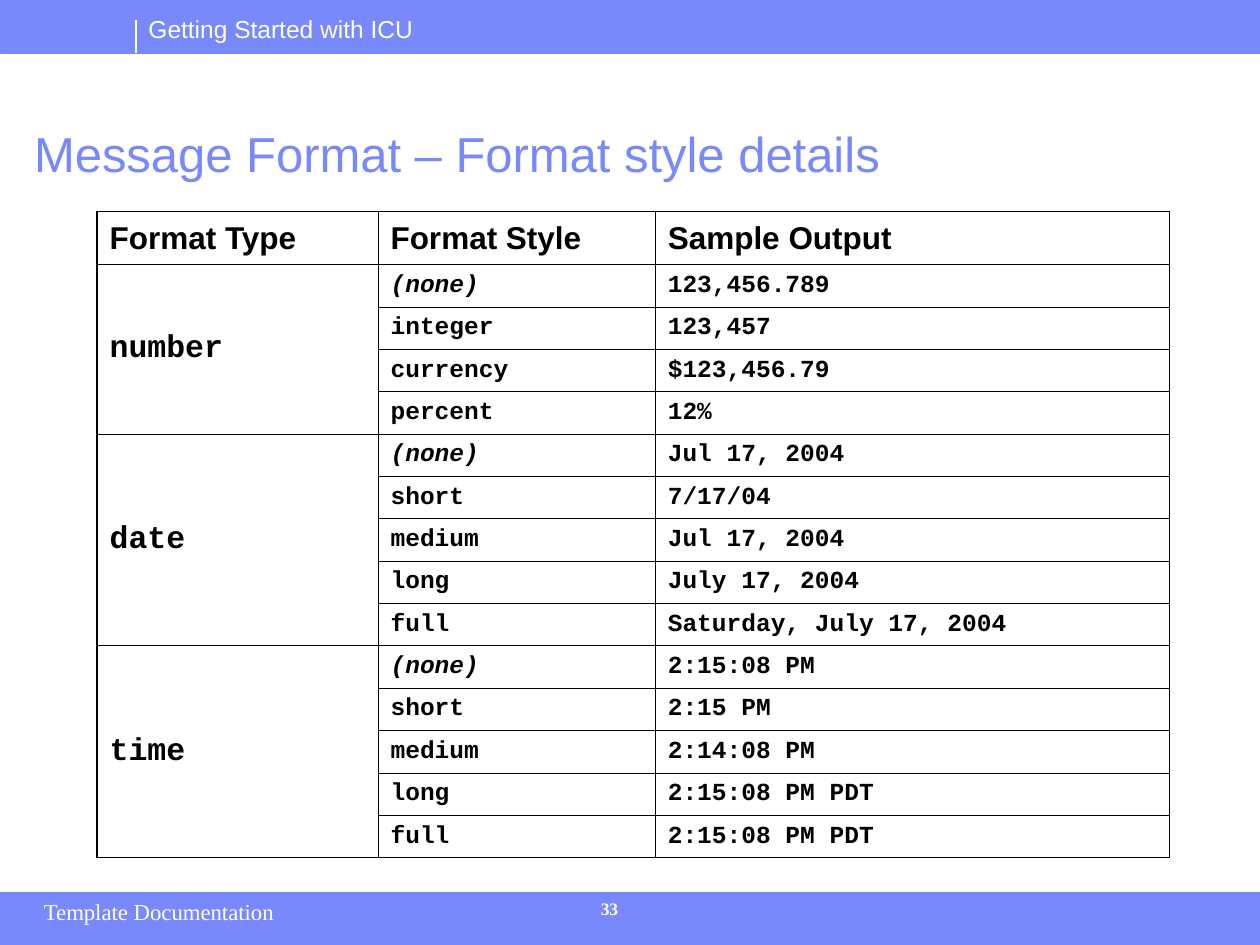
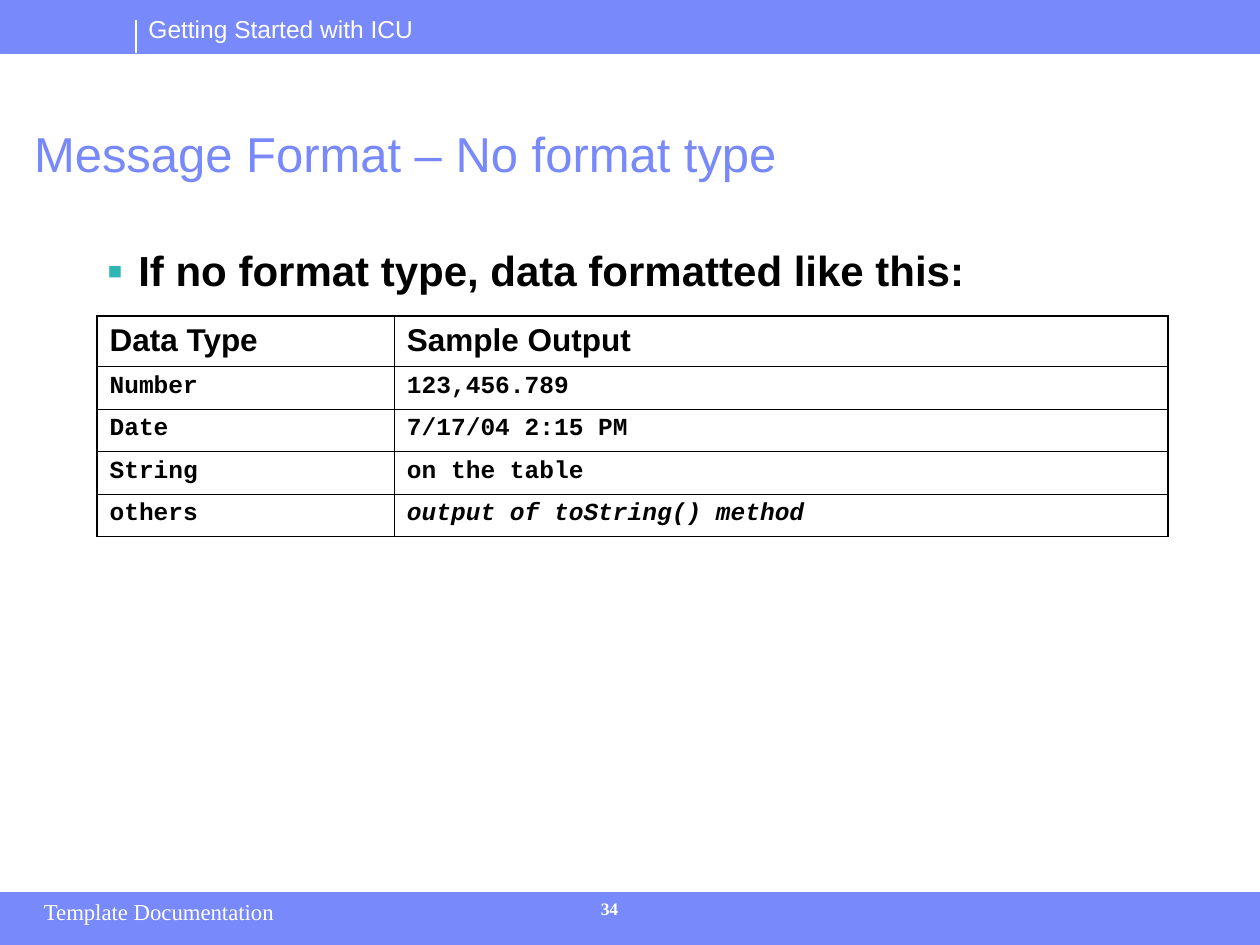
from lxml import etree
from pptx import Presentation
from pptx.dml.color import RGBColor
from pptx.enum.shapes import MSO_CONNECTOR, MSO_SHAPE
from pptx.enum.text import MSO_ANCHOR as Anchor, MSO_AUTO_SIZE as AutoSize, PP_ALIGN as Align
from pptx.oxml import parse_xml
from pptx.oxml.ns import nsdecls, qn
from pptx.util import Inches, Pt

PERIWINKLE, TEAL, BLACK, WHITE = "7889FB", "2DB6B3", "000000", "FFFFFF"
SANS, MONO, SERIF = "Arial", "Courier New", "Times New Roman"
OUTER, INNER = 0.96, 0.45
ITALIC_TEXTS = {"(none)", "output of toString() method"}
rgb = RGBColor.from_string


def add_run(paragraph, text, size, font, color, bold=False, italic=False):
    run = paragraph.add_run()
    run.text = text
    run.font.size, run.font.name = Pt(size), font
    run.font.bold, run.font.italic = bold, italic
    run.font.color.rgb = rgb(color)


def add_label(slide, left, top, width, height, wrap=True):
    frame = slide.shapes.add_textbox(*map(Inches, (left, top, width, height))).text_frame
    frame.word_wrap = wrap
    return frame.paragraphs[0]


format_styles = [
    ("Format Type", "Format Style", "Sample Output"),
    ("number", "(none)", "123,456.789"),
    ("", "integer", "123,457"),
    ("", "currency", "$123,456.79"),
    ("", "percent", "12%"),
    ("date", "(none)", "Jul 17, 2004"),
    ("", "short", "7/17/04"),
    ("", "medium", "Jul 17, 2004"),
    ("", "long", "July 17, 2004"),
    ("", "full", "Saturday, July 17, 2004"),
    ("time", "(none)", "2:15:08 PM"),
    ("", "short", "2:15 PM"),
    ("", "medium", "2:14:08 PM"),
    ("", "long", "2:15:08 PM PDT"),
    ("", "full", "2:15:08 PM PDT"),
]
default_formats = [
    ("Data Type", "Sample Output"),
    ("Number", "123,456.789"),
    ("Date", "7/17/04 2:15 PM"),
    ("String", "on the table"),
    ("others", "output of toString() method"),
]
pages = [
    ("33", "Message Format – Format style details", format_styles,
     (2.23, 2.2, 4.08), 1.68, 5.13, 0.42, Anchor.MIDDLE, [(1, 4), (5, 9), (10, 14)]),
    ("34", "Message Format – No format type", default_formats,
     (2.36, 6.14), 2.51, 1.75, 0.4, Anchor.TOP, []),
]

prs = Presentation()
prs.slide_width, prs.slide_height = Inches(10), Inches(7.5)

for number, heading, rows, widths, top, height, header_height, anchor, groups in pages:
    slide = prs.slides.add_slide(prs.slide_layouts[5])

    for band_top in (7.08, 0):
        band = slide.shapes.add_shape(
            MSO_SHAPE.RECTANGLE, 0, Inches(band_top), prs.slide_width, Inches(0.42))
        band.shadow.inherit = False
        band.fill.solid()
        band.fill.fore_color.rgb = rgb(PERIWINKLE)
        band.line.color.rgb = rgb(PERIWINKLE)
        band.line.width = Pt(0.25)

    add_run(add_label(slide, 1.08, 0.06, 2.3, 0.34, wrap=False),
            "Getting Started with ICU", 14, SANS, WHITE)
    divider = slide.shapes.add_connector(
        MSO_CONNECTOR.STRAIGHT, Inches(1.08), Inches(0.16), Inches(1.08), Inches(0.42))
    divider.line.color.rgb = rgb(WHITE)
    divider.line.width = Pt(0.75)
    etree.SubElement(divider._element.spPr, qn("a:effectLst"))

    title = slide.shapes.title
    title.left, title.top = Inches(0.17), Inches(0.95)
    title.width, title.height = Inches(9.02), Inches(0.55)
    title.text_frame.auto_size = AutoSize.NONE
    title.text_frame.vertical_anchor = Anchor.BOTTOM
    title_line = title.text_frame.paragraphs[0]
    title_line.alignment = Align.LEFT
    title_line.line_spacing = 0.9
    add_run(title_line, heading, 28, SANS, PERIWINKLE)

    table = slide.shapes.add_table(
        len(rows), len(widths), Inches(0.77), Inches(top),
        Inches(sum(widths)), Inches(height)).table
    table.first_row = table.horz_banding = False
    for column, width in zip(table.columns, widths):
        column.width = Inches(width)
    for row in table.rows:
        row.height = Inches((height - header_height) / (len(rows) - 1))
    table.rows[0].height = Inches(header_height)
    for first, last in groups:
        table.cell(first, 0).merge(table.cell(last, 0))

    for r, texts in enumerate(rows):
        for c, text in enumerate(texts):
            cell = table.cell(r, c)
            cell.vertical_anchor = anchor
            cell.fill.background()
            if text:
                large = r == 0 or cell.is_merge_origin
                add_run(cell.text_frame.paragraphs[0], text, 18 if large else 14,
                        SANS if r == 0 else MONO, BLACK, True, text in ITALIC_TEXTS)
            bottom = r + (cell.span_height if cell.is_merge_origin else 1)
            on_edge = {"L": c == 0, "R": c == len(widths) - 1,
                       "T": r == 0, "B": bottom == len(rows)}
            for position, (side, outer) in enumerate(on_edge.items()):
                line_width = Pt(OUTER if outer else INNER)
                cell._tc.get_or_add_tcPr().insert(position, parse_xml(
                    f'<a:ln{side} {nsdecls("a")} w="{line_width}"><a:solidFill>'
                    f'<a:srgbClr val="{BLACK}"/></a:solidFill></a:ln{side}>'))

    add_run(add_label(slide, 0.25, 7.08, 4.58, 0.34),
            "Template Documentation", 13, SERIF, WHITE)
    add_run(add_label(slide, 4.67, 7.08, 1.1, 0.35), number, 10, SERIF, WHITE, True)

rule = add_label(prs.slides[1], 0.75, 1.94, 8.5, 0.48)
rule_format = rule._p.get_or_add_pPr()
rule_format.set("marL", str(Inches(0.25)))
rule_format.set("indent", str(-Inches(0.25)))
for bullet_part in (f'buClr {nsdecls("a")}><a:srgbClr val="{TEAL}"/></a:buClr>',
                    f'buSzPct {nsdecls("a")} val="110000"/>',
                    f'buFont {nsdecls("a")} typeface="{SANS}"/>',
                    f'buChar {nsdecls("a")} char="▪"/>'):
    rule_format.append(parse_xml("<a:" + bullet_part))
rule.line_spacing = 0.9
add_run(rule, "If no format type, data formatted like this:", 24, SANS, BLACK, True)

prs.save("out.pptx")
